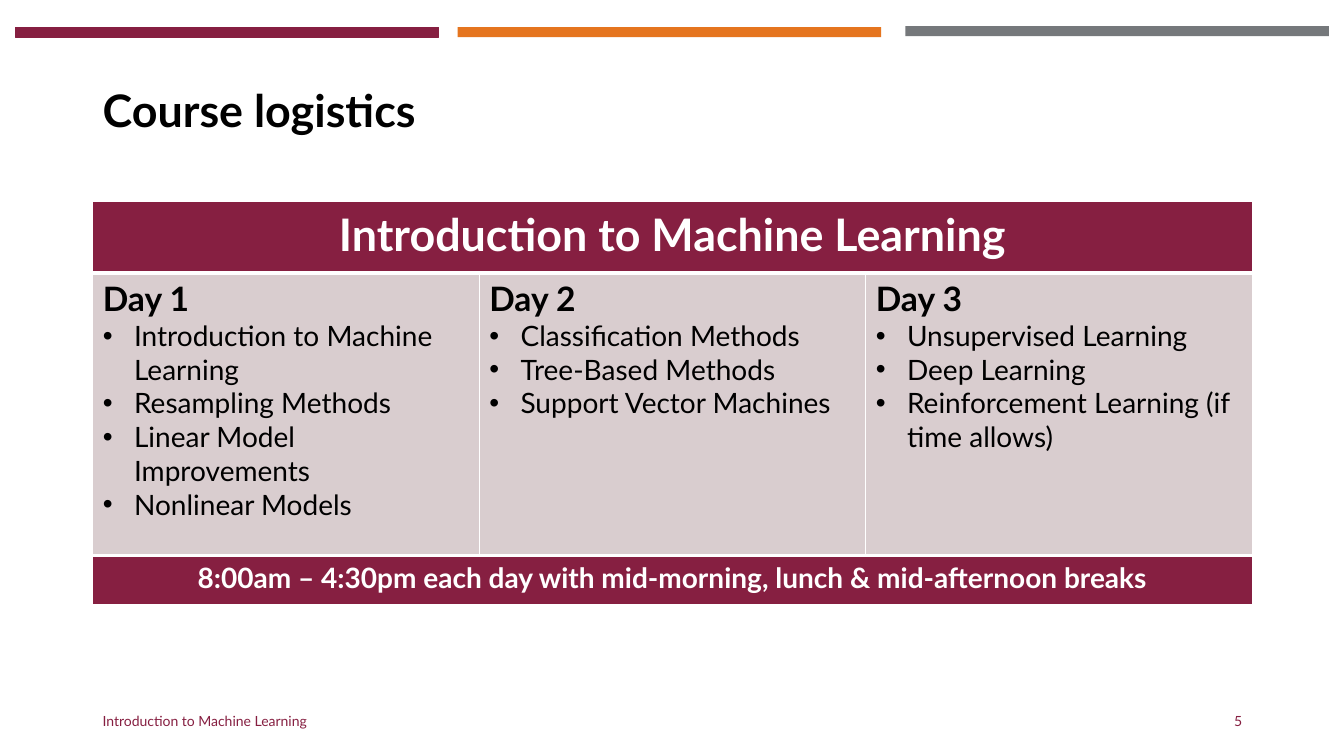
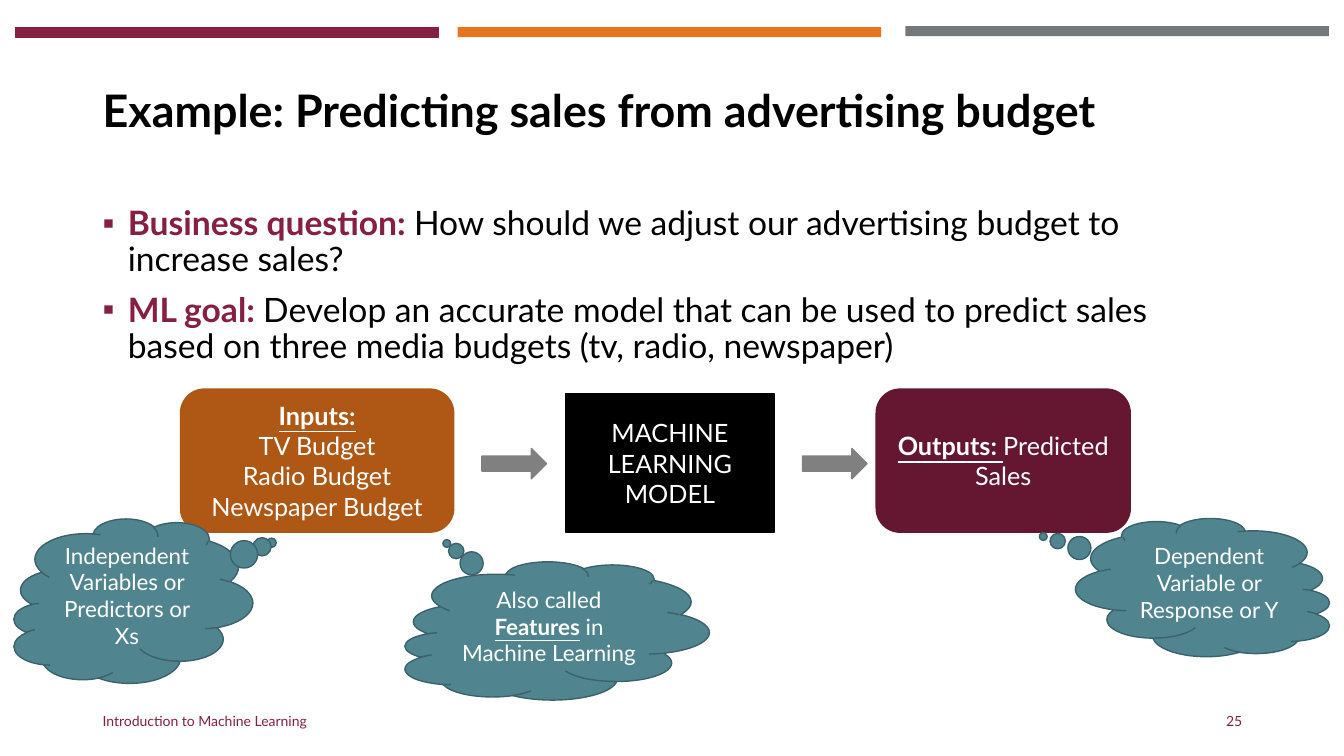
"""Build two slides of a machine learning course deck."""
import pptx
import pptx.dml.color
import pptx.enum.shapes
import pptx.enum.text
import pptx.oxml
import pptx.oxml.ns
import pptx.util

Inches = pptx.util.Inches
Pt = pptx.util.Pt
SHAPE = pptx.enum.shapes.MSO_SHAPE
ALIGN = pptx.enum.text.PP_ALIGN
ANCHOR = pptx.enum.text.MSO_ANCHOR
FONT = "Lato"
COURSE = "Introduction to Machine Learning"
LEFT, WIDTH = 0.92, 11.5
HUES = {
    "maroon": "861F41", "orange": "E5751F", "gray": "75787B",
    "black": "000000", "white": "FFFFFF", "blush": "D9CDCF",
    "rust": "AF5714", "wine": "651731", "arrow": "808080",
    "teal": "508590", "edge": "3B626B",
}
BARS = [(0.15, 0.27, "maroon"), (4.54, 0.27, "orange"), (8.98, 0.26, "gray")]
DAYS = [
    ("Day 1", [COURSE, "Resampling Methods", "Linear Model Improvements",
               "Nonlinear Models"]),
    ("Day 2", ["Classification Methods", "Tree-Based Methods",
               "Support Vector Machines"]),
    ("Day 3", ["Unsupervised Learning", "Deep Learning",
               "Reinforcement Learning (if time allows)"]),
]
GOALS = [
    ("Business question: ",
     "How should we adjust our advertising budget to increase sales?"),
    ("ML goal: ",
     "Develop an accurate model that can be used to predict sales "
     "based on three media budgets (tv, radio, newspaper)"),
]
BOXES = [
    (SHAPE.RECTANGLE, (5.61, 3.91, 2.07, 1.37), "black",
     [[("MACHINE LEARNING MODEL", "")]]),
    (SHAPE.ROUNDED_RECTANGLE, (1.79, 3.86, 2.71, 1.42), "rust",
     [[("Inputs:", "bu")], [("TV Budget", "")], [("Radio Budget", "")],
      [("Newspaper Budget", "")]]),
    (SHAPE.ROUNDED_RECTANGLE, (8.69, 3.86, 2.52, 1.42), "wine",
     [[("Outputs: ", "bu"), ("Predicted Sales", "")]]),
]
CLOUDS = [
    ((11.25, 4.57, 1.37, 2.52), 90, (-0.37, 0.63),
     [("Dependent Variable or Response or Y", "")]),
    ((0.5, 4.78, 1.63, 2.37), 270, (-0.356, 0.582),
     [("Independent Variables or Predictors or Xs", "")]),
    ((4.83, 4.75, 1.37, 3.02), 270, (-0.634, -0.359),
     [("Also called ", ""), ("Features", "bu"), (" in Machine Learning", "")]),
]


def tint(name):
    return pptx.dml.color.RGBColor.from_string(HUES[name])


def place(box):
    return [Inches(n) for n in box]


def add_run(para, text, size, hue, marks=""):
    run = para.add_run()
    run.text = text
    font = run.font
    font.name, font.size = FONT, Pt(size)
    font.bold, font.underline = "b" in marks, "u" in marks
    font.color.rgb = tint(hue)


def add_para(frame, first, align=ALIGN.LEFT):
    para = frame.paragraphs[0] if first else frame.add_paragraph()
    para.alignment = align
    return para


def add_mark(para, char, indent, hue):
    props = para._p.get_or_add_pPr()
    props.set("marL", str(Inches(indent)))
    props.set("indent", str(-Inches(indent)))
    space = pptx.oxml.ns.nsdecls("a")
    for xml in (
        f'<a:buClr {space}><a:srgbClr val="{HUES[hue]}"/></a:buClr>',
        f'<a:buFont {space} typeface="Arial"/>',
        f'<a:buChar {space} char="{char}"/>',
    ):
        props.append(pptx.oxml.parse_xml(xml))


def add_text(slide, box, anchor=ANCHOR.MIDDLE):
    frame = slide.shapes.add_textbox(*place(box)).text_frame
    frame.word_wrap = True
    frame.vertical_anchor = anchor
    return frame


def add_shape(slide, kind, box, hue, edge=None, width=1):
    shape = slide.shapes.add_shape(kind, *place(box))
    shape.shadow.inherit = False
    shape.fill.solid()
    shape.fill.fore_color.rgb = tint(hue)
    if edge:
        shape.line.color.rgb = tint(edge)
        shape.line.width = Pt(width)
    else:
        shape.line.fill.background()
    return shape


def add_label(shape, paras, size):
    frame = shape.text_frame
    frame.word_wrap = True
    frame.vertical_anchor = ANCHOR.MIDDLE
    for row, runs in enumerate(paras):
        para = add_para(frame, row == 0, ALIGN.CENTER)
        for text, marks in runs:
            add_run(para, text, size, "white", marks)


def add_cloud(slide, box, turn, tail, runs):
    cloud = add_shape(slide, SHAPE.CLOUD_CALLOUT, box, "teal", "edge")
    cloud.rotation = turn
    for spot, value in enumerate(tail):
        cloud.adjustments[spot] = value
    add_label(cloud, [runs], 16)
    flow = "vert270"
    if turn == 270:
        flow = "vert"
        cloud.element.spPr.xfrm.set("flipH", "1")
    cloud.text_frame._txBody.bodyPr.set("vert", flow)


def add_base(deck, title, page):
    slide = deck.slides.add_slide(deck.slide_layouts[6])
    for left, top, hue in BARS:
        edge = hue if hue == "maroon" else None
        add_shape(slide, SHAPE.RECTANGLE, (left, top, 4.2, 0.1), hue, edge, 0.75)
    para = add_para(add_text(slide, (LEFT, 0.4, WIDTH, 1.45)), True)
    para.line_spacing = 0.9
    add_run(para, title, 32, "black", "b")
    for left, width, text, align in (
        (LEFT, 4.5, COURSE, ALIGN.LEFT),
        (LEFT + WIDTH - 3, 3, str(page), ALIGN.RIGHT),
    ):
        frame = add_text(slide, (left, 6.95, width, 0.4))
        add_run(add_para(frame, True, align), text, 10, "maroon")
    return slide


def style_cell(cell, hue, top, base):
    props = cell._tc.get_or_add_tcPr()
    space = pptx.oxml.ns.nsdecls("a")
    for side, width in (("L", 1), ("R", 1), ("T", top), ("B", base)):
        props.append(pptx.oxml.parse_xml(
            f'<a:ln{side} {space} w="{Pt(width)}"><a:solidFill>'
            f'<a:srgbClr val="{HUES["white"]}"/></a:solidFill></a:ln{side}>'))
    cell.fill.solid()
    cell.fill.fore_color.rgb = tint(hue)


def add_plan(slide):
    rows = [(0.71, "maroon", 1, 3), (2.8, "blush", 3, 3), (0.49, "maroon", 3, 1)]
    table = slide.shapes.add_table(
        len(rows), len(DAYS), *place((LEFT, 2, WIDTH, 4))).table
    for column in table.columns:
        column.width = Inches(WIDTH / len(DAYS))
    for row, (height, hue, top, base) in enumerate(rows):
        table.rows[row].height = Inches(height)
        for col in range(len(DAYS)):
            style_cell(table.cell(row, col), hue, top, base)
    for row, text, size in (
        (0, COURSE, 32),
        (2, "8:00am – 4:30pm each day with mid-morning, lunch & "
            "mid-afternoon breaks", 20),
    ):
        cell = table.cell(row, 0)
        cell.merge(table.cell(row, len(DAYS) - 1))
        para = add_para(cell.text_frame, True, ALIGN.CENTER)
        add_run(para, text, size, "white", "b")
    for col, (day, topics) in enumerate(DAYS):
        frame = table.cell(1, col).text_frame
        add_run(add_para(frame, True), day, 24, "black", "b")
        for topic in topics:
            para = add_para(frame, False)
            add_mark(para, "•", 0.31, "black")
            add_run(para, topic, 20, "black")


def add_goals(slide):
    frame = add_text(slide, (LEFT, 2, WIDTH, 1.8), ANCHOR.TOP)
    for row, (lead, text) in enumerate(GOALS):
        para = add_para(frame, row == 0)
        add_mark(para, "▪", 0.25, "maroon")
        para.line_spacing = 0.9
        if row:
            para.space_before = Pt(10)
        add_run(para, lead, 24, "maroon", "b")
        add_run(para, text, 24, "black")


def main():
    deck = pptx.Presentation()
    deck.slide_width, deck.slide_height = Inches(13.33), Inches(7.5)
    add_plan(add_base(deck, "Course logistics", 5))
    slide = add_base(deck, "Example: Predicting sales from advertising budget", 25)
    add_goals(slide)
    for kind, box, hue, paras in BOXES:
        add_label(add_shape(slide, kind, box, hue, hue), paras, 18)
    for left in (4.78, 7.96):
        add_shape(slide, SHAPE.RIGHT_ARROW, (left, 4.45, 0.64, 0.3),
                  "arrow", "arrow")
    for cloud in CLOUDS:
        add_cloud(slide, *cloud)
    deck.save("out.pptx")


if __name__ == "__main__":
    main()
